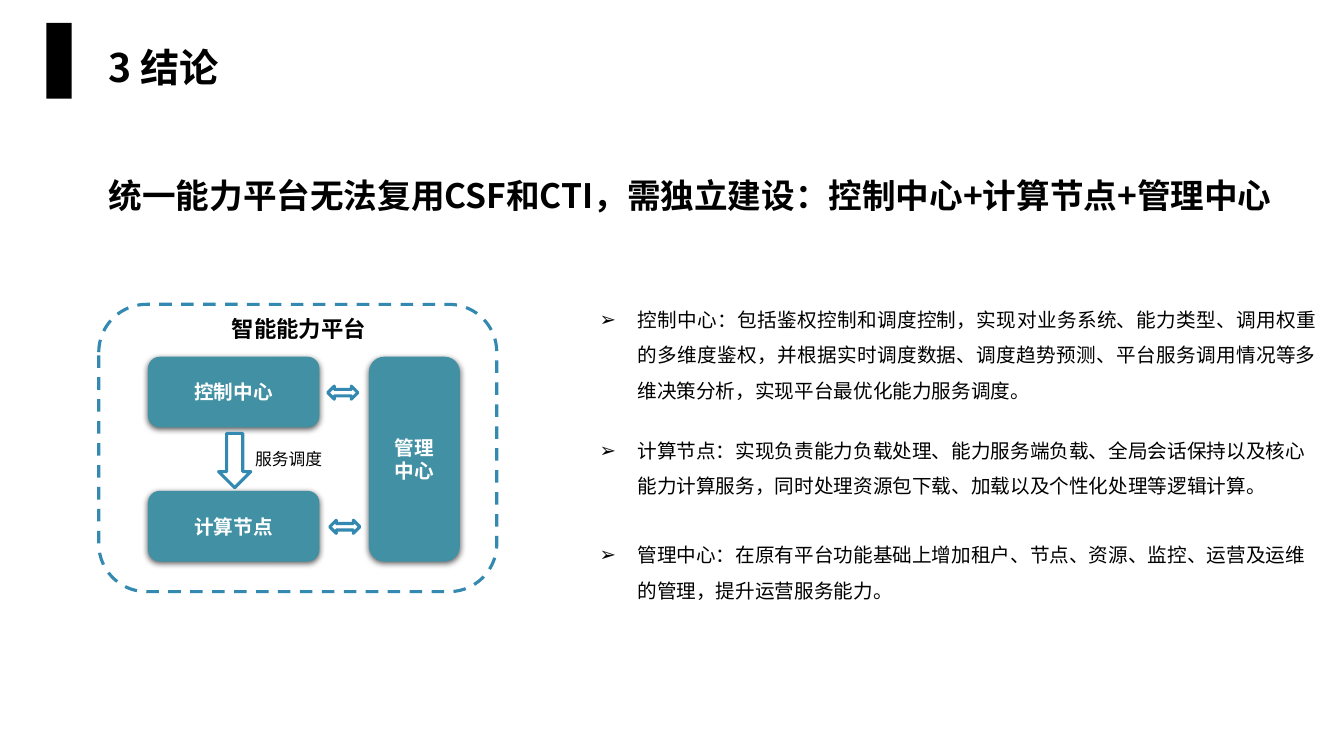
from lxml.etree import SubElement
from pptx import Presentation
from pptx.dml.color import RGBColor
from pptx.enum.dml import MSO_LINE
from pptx.enum.shapes import MSO_SHAPE
from pptx.enum.text import MSO_ANCHOR, MSO_AUTO_SIZE, PP_ALIGN
from pptx.oxml.ns import qn
from pptx.util import Cm, Pt

BLACK = RGBColor(0x00, 0x00, 0x00)
WHITE = RGBColor(0xFF, 0xFF, 0xFF)
TEAL = RGBColor(0x42, 0x90, 0xA4)
BLUE = RGBColor(0x33, 0x89, 0xB0)
SANS = "Noto Sans CJK SC"


def add_run(paragraph, text, size, font=SANS, color=BLACK, bold=False):
    run = paragraph.add_run()
    run.text = text
    run.font.size = Pt(size)
    run.font.name = font
    run.font.bold = bold
    run.font.color.rgb = color


def add_outline(shapes, kind, left, top, width, height):
    shape = shapes.add_shape(kind, Cm(left), Cm(top), Cm(width), Cm(height))
    shape.shadow.inherit = False
    shape.line.color.rgb = BLUE
    shape.line.width = Pt(2.25)
    return shape


presentation = Presentation()
presentation.slide_width = Cm(33.87)
presentation.slide_height = Cm(19.05)
slide = presentation.slides.add_slide(presentation.slide_layouts[1])

title_bar = slide.shapes.add_shape(MSO_SHAPE.RECTANGLE, Cm(1.17), Cm(0.58), Cm(0.64), Cm(1.91))
title_bar.shadow.inherit = False
title_bar.fill.solid()
title_bar.fill.fore_color.rgb = BLACK
title_bar.line.fill.background()

title = slide.shapes.title
title.left, title.top, title.width, title.height = Cm(2.49), Cm(0.69), Cm(28.75), Cm(2.16)
title.text_frame.auto_size = MSO_AUTO_SIZE.NONE
title.text_frame.vertical_anchor = MSO_ANCHOR.MIDDLE
paragraph = title.text_frame.paragraphs[0]
paragraph.alignment = PP_ALIGN.LEFT
paragraph.line_spacing = 0.9
add_run(paragraph, "3 结论", 28, bold=True)

headline = slide.shapes.add_textbox(Cm(2.49), Cm(4.29), Cm(30.43), Cm(1.27))
headline.text_frame.word_wrap = True
add_run(headline.text_frame.paragraphs[0],
        "统一能力平台无法复用CSF和CTI，需独立建设：控制中心+计算节点+管理中心", 24, bold=True)

platform = slide.shapes.add_group_shape().shapes

for lines, left, top, width, height in [
    (["控制中心"], 3.73, 8.99, 4.32, 1.78),
    (["管理", "中心"], 9.3, 8.99, 2.29, 5.16),
    (["计算节点"], 3.73, 12.37, 4.32, 1.78),
]:
    module = platform.add_shape(MSO_SHAPE.ROUNDED_RECTANGLE, Cm(left), Cm(top), Cm(width), Cm(height))
    module.fill.solid()
    module.fill.fore_color.rgb = TEAL
    module.line.fill.background()
    module.shadow.inherit = False
    effects = module.element.spPr.find(qn("a:effectLst"))
    shadow = SubElement(effects, qn("a:outerShdw"), blurRad=str(Pt(4.5)), dist=str(Pt(1.5)),
                        dir="5400000", rotWithShape="0")
    shadow_color = SubElement(shadow, qn("a:srgbClr"), val=str(BLACK))
    SubElement(shadow_color, qn("a:alpha"), val="63000")
    frame = module.text_frame
    frame.vertical_anchor = MSO_ANCHOR.MIDDLE
    for index, line in enumerate(lines):
        paragraph = frame.add_paragraph() if index else frame.paragraphs[0]
        paragraph.alignment = PP_ALIGN.CENTER
        add_run(paragraph, line, 14, "Arial", WHITE, True)

platform_border = add_outline(platform, MSO_SHAPE.ROUNDED_RECTANGLE, 2.49, 7.67, 10.03, 7.24)
platform_border.fill.background()
platform_border.line.dash_style = MSO_LINE.DASH

for kind, left, top, width, height in [
    (MSO_SHAPE.LEFT_RIGHT_ARROW, 8.26, 9.73, 0.76, 0.33),
    (MSO_SHAPE.LEFT_RIGHT_ARROW, 8.31, 13.11, 0.76, 0.33),
    (MSO_SHAPE.DOWN_ARROW, 5.51, 10.92, 0.81, 1.37),
]:
    arrow = add_outline(platform, kind, left, top, width, height)
    arrow.fill.solid()
    arrow.fill.fore_color.rgb = WHITE

for text, size, bold, left, top, width, height in [
    ("智能能力平台", 16, True, 4.22, 7.82, 6.63, 0.94),
    ("服务调度", 12, False, 5.94, 11.18, 2.67, 0.61),
]:
    label = platform.add_textbox(Cm(left), Cm(top), Cm(width), Cm(height))
    label.text_frame.word_wrap = True
    paragraph = label.text_frame.paragraphs[0]
    paragraph.alignment = PP_ALIGN.CENTER
    add_run(paragraph, text, size, bold=bold)

conclusions = slide.placeholders[1]
conclusions.left, conclusions.top = Cm(14.86), Cm(7.34)
conclusions.width, conclusions.height = Cm(18.57), Cm(8)
frame = conclusions.text_frame
frame.auto_size = MSO_AUTO_SIZE.NONE
frame.vertical_anchor = MSO_ANCHOR.TOP
for index, (alignment, space_before, runs) in enumerate([
    (PP_ALIGN.JUSTIFY, 0, [
        ("控制中心：包括鉴权控制和调度控制，实现", SANS),
        ("对业务系统、能力类型、调用权重的多维度鉴权，并根据实时调度数据、调度趋势预测、"
         "平台服务调用情况等多维决策分析，实现平台最优化能力服务调度。", "Arial"),
    ]),
    (PP_ALIGN.LEFT, 18, [
        ("计算节点：实现负责能力负载处理、能力服务端负载、全局会话保持以及核心能力计算服务，"
         "同时处理资源包下载、加载以及个性化处理等逻辑计算。", SANS),
    ]),
    (PP_ALIGN.LEFT, 24, [
        ("管理中心：在原有平台功能基础上增加租户、节点、资源、监控、运营及运维的管理，"
         "提升运营服务能力。", SANS),
    ]),
]):
    paragraph = frame.add_paragraph() if index else frame.paragraphs[0]
    paragraph.alignment = alignment
    paragraph.line_spacing = 1.5
    paragraph.space_before = Pt(space_before)
    properties = paragraph._p.get_or_add_pPr()
    properties.set("marL", str(Cm(0.95)))
    properties.set("indent", str(-Cm(0.95)))
    SubElement(properties, qn("a:buFont"), typeface="Arial")
    SubElement(properties, qn("a:buChar"), char="➢")
    for text, font in runs:
        add_run(paragraph, text, 14, font)

presentation.save("out.pptx")
